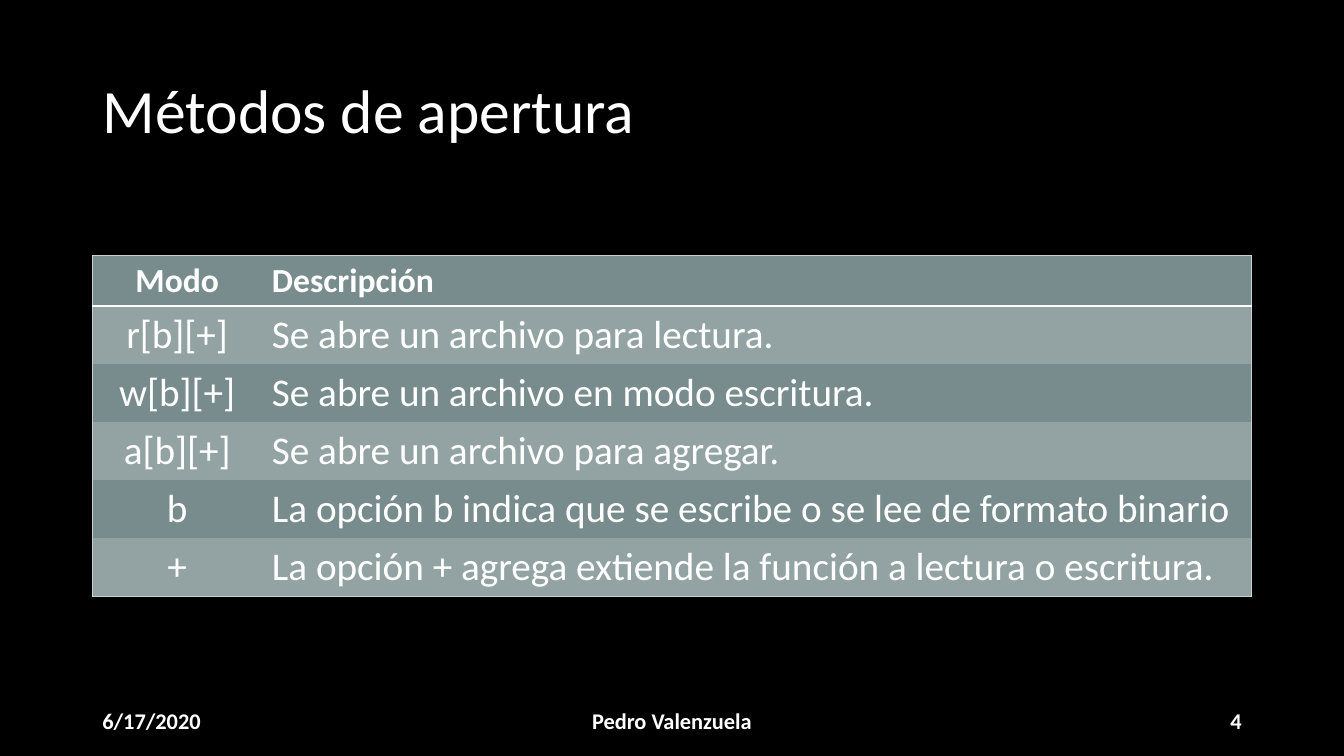
from dataclasses import dataclass

from lxml import etree
from pptx import Presentation
from pptx import util as u
from pptx.dml.color import RGBColor
from pptx.enum import text as t
from pptx.oxml import parse_xml
from pptx.oxml.ns import nsdecls, qn


@dataclass(frozen=True)
class Theme:
    """Colours, type sizes and font of the deck."""

    font: str = "Calibri"
    background: str = "000000"
    ink: str = "FFFFFF"
    band_dark: str = "788C8D"
    band_light: str = "93A3A4"
    outline: str = "CBD0D1"
    title_size: int = 44
    header_size: int = 24
    body_size: int = 28
    footer_size: int = 16


THEME = Theme()
NO_GRID_STYLE = "{2D5ABB26-0587-4C30-8999-92F81FD0307C}"
LEFT, CENTER, RIGHT = t.PP_ALIGN.LEFT, t.PP_ALIGN.CENTER, t.PP_ALIGN.RIGHT

MODES = [
    ("Modo", "Descripción"),
    ("r[b][+]", "Se abre un archivo para lectura."),
    ("w[b][+]", "Se abre un archivo en modo escritura."),
    ("a[b][+]", "Se abre un archivo para agregar."),
    ("b", "La opción b indica que se escribe o se lee de formato binario"),
    ("+", "La opción + agrega extiende la función a lectura o escritura."),
]


def write(frame, wording, size, bold=False, align=LEFT):
    """Write one styled run in the first paragraph of a frame and return the paragraph."""
    paragraph = frame.paragraphs[0]
    paragraph.alignment = align
    run = paragraph.add_run()
    run.text = wording
    run.font.name = THEME.font
    run.font.size = u.Pt(size)
    run.font.bold = bold
    run.font.color.rgb = RGBColor.from_string(THEME.ink)
    return paragraph


def paint(fill, color):
    """Give a fill one solid colour."""
    fill.solid()
    fill.fore_color.rgb = RGBColor.from_string(color)


def shade(panel, opacity):
    """Lay the translucent background colour behind a text panel."""
    paint(panel.fill, THEME.background)
    color = panel.fill._xPr.find(qn("a:solidFill"))[0]
    etree.SubElement(color, qn("a:alpha"), val=str(opacity * 1000))


def place_title(slide, left, top, width, height):
    """Place the slide title in its box."""
    title = slide.shapes.title
    title.left, title.top, title.width, title.height = left, top, width, height
    shade(title, 16)
    title.text_frame.vertical_anchor = t.MSO_ANCHOR.MIDDLE
    title.text_frame.auto_size = t.MSO_AUTO_SIZE.NONE
    write(title.text_frame, "Métodos de apertura", THEME.title_size).line_spacing = 0.9


def draw_borders(cell, borders):
    """Draw the given sides of a cell, listed in the order left, right, top, bottom."""
    properties = cell._tc.get_or_add_tcPr()
    for position, (side, (color, points)) in enumerate(borders.items()):
        line = parse_xml(
            f'<a:ln{side} {nsdecls("a")} w="{u.Pt(points)}"><a:solidFill>'
            f'<a:srgbClr val="{color}"/></a:solidFill></a:ln{side}>'
        )
        properties.insert(position, line)


def place_modes(slide, left, top, width):
    """Place the table of opening modes in its box."""
    mode_width, header_height, row_height = u.Cm(4.27), u.Cm(1.28), u.Cm(1.46)
    last_row = len(MODES) - 1
    height = header_height + last_row * row_height
    frame = slide.shapes.add_table(len(MODES), 2, left, top, width, height)
    modes = frame.table
    modes.horz_banding = False
    frame._element.find(".//" + qn("a:tableStyleId")).text = NO_GRID_STYLE
    modes.columns[0].width = mode_width
    modes.columns[1].width = width - mode_width
    outline, rule = (THEME.outline, 0.5), (THEME.ink, 1.5)
    for row, entry in enumerate(MODES):
        header = row == 0
        modes.rows[row].height = header_height if header else row_height
        for column, wording in enumerate(entry):
            cell = modes.cell(row, column)
            paint(cell.fill, THEME.band_light if row % 2 else THEME.band_dark)
            size = THEME.header_size if header else THEME.body_size
            write(cell.text_frame, wording, size, header, LEFT if column else CENTER)
            borders = {"R" if column else "L": outline}
            if header:
                borders |= {"T": outline, "B": rule}
            elif row == last_row:
                borders["B"] = outline
            draw_borders(cell, borders)


def place_footer(slide, left, top, width, height):
    """Place date, author and slide number along the footer box."""
    side, middle = u.Cm(7.62), u.Cm(11.43)
    parts = [
        ("6/17/2020", left, side, LEFT),
        ("Pedro Valenzuela", left + (width - middle) // 2, middle, CENTER),
        ("4", left + width - side, side, RIGHT),
    ]
    for wording, start, span, align in parts:
        part = slide.shapes.add_textbox(start, top, span, height)
        shade(part, 34)
        part.text_frame.word_wrap = True
        part.text_frame.vertical_anchor = t.MSO_ANCHOR.MIDDLE
        write(part.text_frame, wording, THEME.footer_size, True, align)


def main():
    """Build the slide and save it."""
    deck = Presentation()
    deck.slide_width, deck.slide_height = u.Cm(33.87), u.Cm(19.05)
    slide = deck.slides.add_slide(deck.slide_layouts[5])
    paint(slide.background.fill, THEME.background)
    left, width = u.Cm(2.33), u.Cm(29.21)
    place_title(slide, left, u.Cm(1.01), width, u.Cm(3.68))
    place_modes(slide, left, u.Cm(6.43), width)
    place_footer(slide, left, u.Cm(17.65), width, u.Cm(1.01))
    deck.save("out.pptx")


if __name__ == "__main__":
    main()
